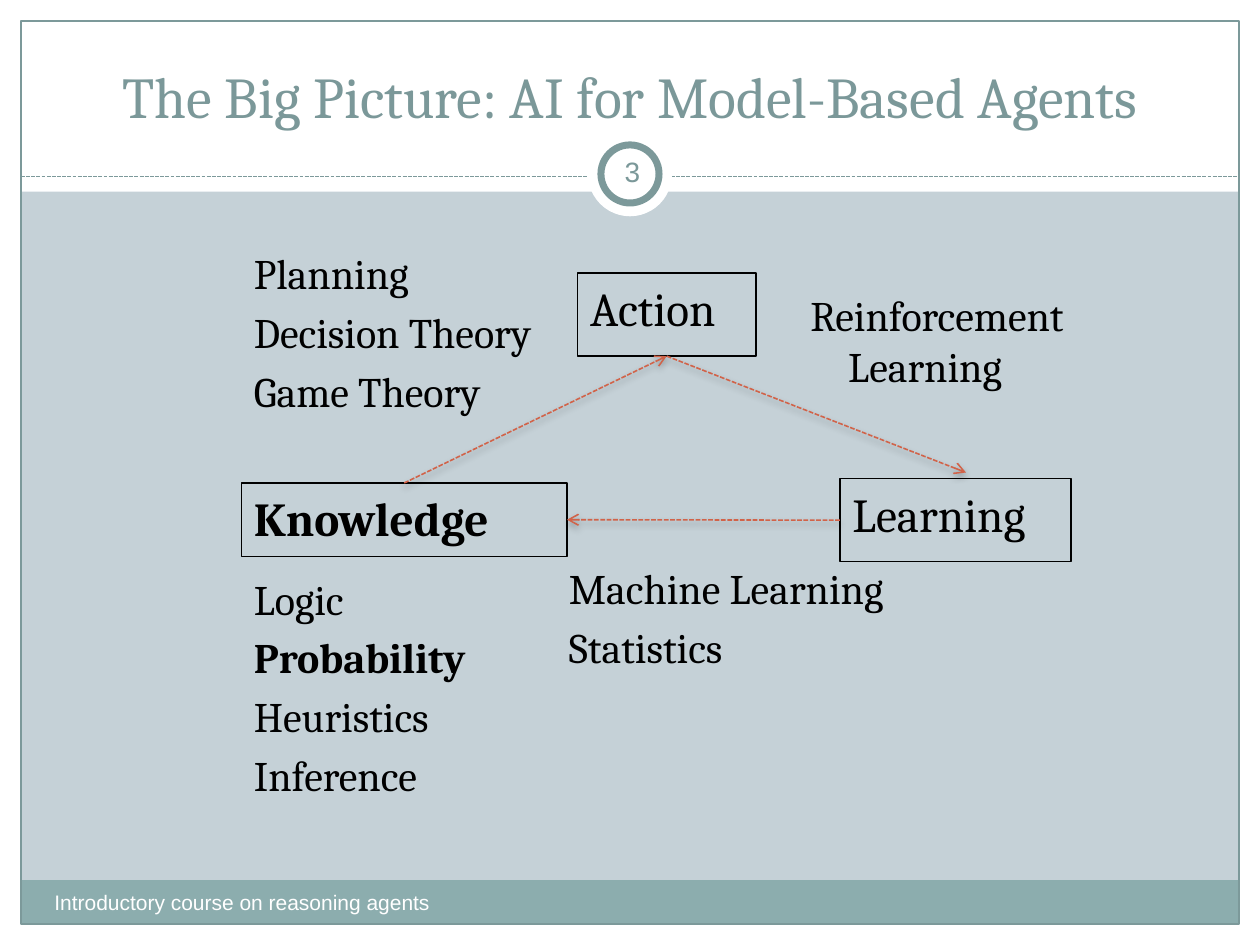
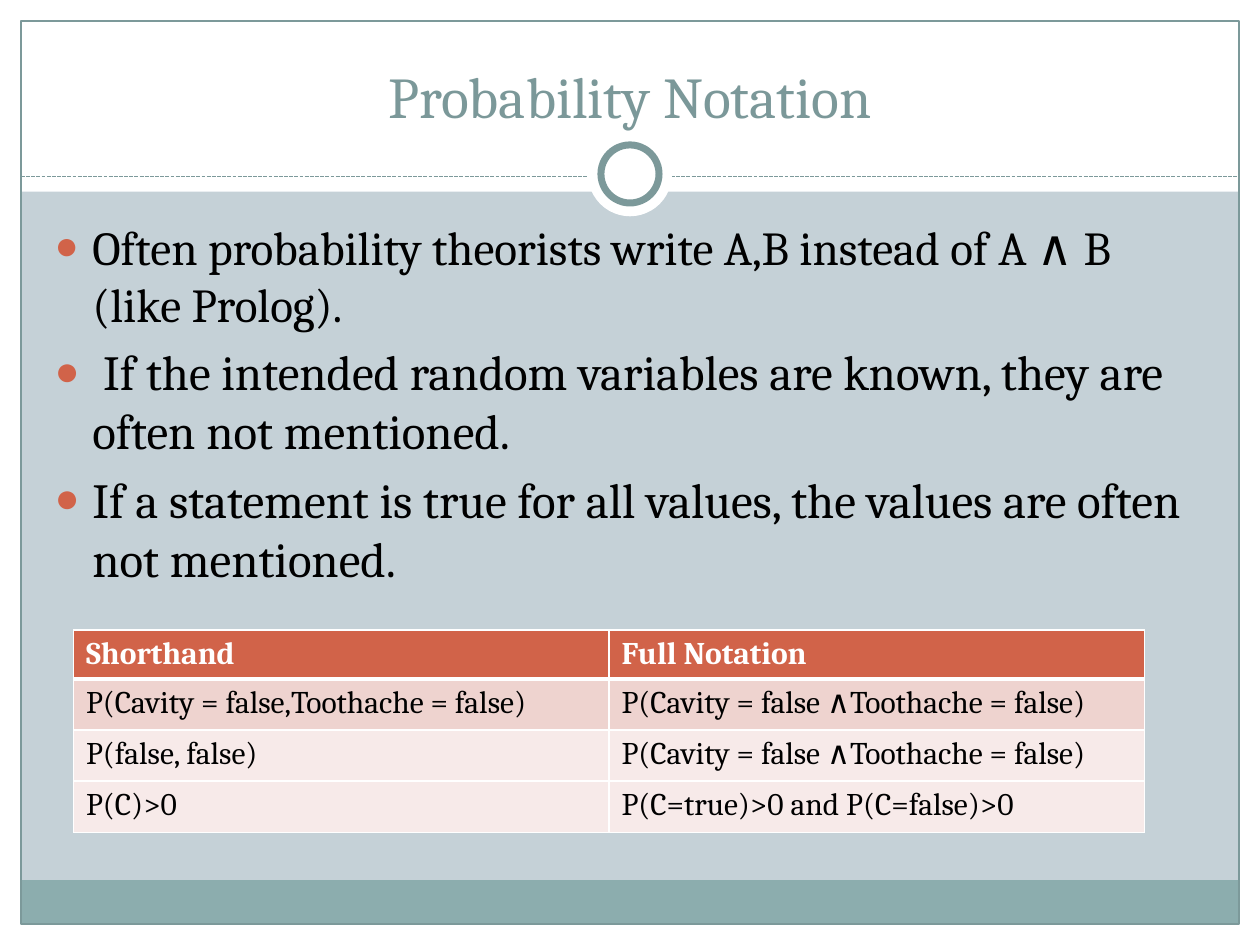
from dataclasses import dataclass

from lxml import etree
from pptx import Presentation
from pptx.dml.color import RGBColor
from pptx.enum.dml import MSO_LINE
from pptx.enum.shapes import MSO_CONNECTOR, MSO_SHAPE
from pptx.enum.text import MSO_ANCHOR, MSO_AUTO_SIZE, PP_ALIGN
from pptx.oxml import parse_xml
from pptx.oxml.ns import nsdecls, qn
from pptx.util import Pt

RECTANGLE, OVAL = MSO_SHAPE.RECTANGLE, MSO_SHAPE.OVAL
STRAIGHT = MSO_CONNECTOR.STRAIGHT
SHORT_DASH = MSO_LINE.SQUARE_DOT
LEFT, CENTER = PP_ALIGN.LEFT, PP_ALIGN.CENTER
TOP, MIDDLE, BOTTOM = MSO_ANCHOR.TOP, MSO_ANCHOR.MIDDLE, MSO_ANCHOR.BOTTOM
SIDE_TOP, SIDE_LEFT, SIDE_BOTTOM, SIDE_RIGHT = range(4)

COLORS = {
    "background": "C5D1D7", "white": "FFFFFF", "black": "000000",
    "band": "8CADAE", "rule": "7C999A", "title": "7B9899",
    "accent": "D16349", "row_dark": "EED3CF", "row_light": "F7EAE9",
}
SERIF, SANS = "Cambria", "Arial"
WIDTH, HEIGHT = 720, 540
EDGE = 12
RULE_Y = 100.8
INDENT = Pt(21.6)

Box = tuple[float, float, float, float]
Point = tuple[float, float]


@dataclass(frozen=True)
class FramePart:
    box: Box
    fill: str | None = None
    line: str | None = None
    line_width: float = 0.75
    kind: int = RECTANGLE


@dataclass(frozen=True)
class TextStyle:
    size: float
    color: str = "black"
    font: str = SERIF
    bold: bool = False
    align: int = LEFT
    hanging: bool = False
    bullet: bool = False


@dataclass(frozen=True)
class TopicList:
    box: Box
    lines: tuple[str, ...]
    bold_line: str = ""


FRAME_BACK = (
    FramePart((0, HEIGHT - EDGE, WIDTH, EDGE), "white"),
    FramePart((0, 0, WIDTH, 109.5), "white"),
    FramePart((0, 0, EDGE, HEIGHT), "white"),
    FramePart((WIDTH - EDGE, 0, EDGE, HEIGHT), "white"),
    FramePart((EDGE, 503, WIDTH - 2 * EDGE, 25), "band"),
    FramePart((EDGE, EDGE, WIDTH - 2 * EDGE, HEIGHT - 2 * EDGE), None, "rule"),
)
FRAME_RING = (
    FramePart((336, 75.6, 48, 48), "white", kind=OVAL),
    FramePart((343.4, 82.8, 33.2, 33.2), "white", "rule", 4, OVAL),
)

TITLE = TextStyle(33, "title", align=CENTER)
FOOTER = TextStyle(12, "white", SANS)
NUMBER = TextStyle(16, "title", SANS, align=CENTER)
NODE = TextStyle(27, hanging=True)
KEY_NODE = TextStyle(27, bold=True, hanging=True)
TOPIC = TextStyle(24, hanging=True)
KEY_TOPIC = TextStyle(24, bold=True, hanging=True)
BULLET = TextStyle(28, hanging=True, bullet=True)
HEADER_CELL = TextStyle(18, "white", bold=True)
BODY_CELL = TextStyle(18)

TOPICS = (
    TopicList((138, 324, 162, 144),
              ("Logic", "Probability", "Heuristics", "Inference"), "Probability"),
    TopicList((138, 138, 204, 144), ("Planning", "Decision Theory", "Game Theory")),
    TopicList((456, 162, 204, 84), ("Reinforcement Learning",)),
    TopicList((318, 318, 234, 102), ("Machine Learning", "Statistics")),
)
NOTATION = (
    ("Shorthand", "Full Notation"),
    ("P(Cavity = false,Toothache = false)", "P(Cavity = false ∧Toothache = false)"),
    ("P(false, false)", "P(Cavity = false ∧Toothache = false)"),
    ("P(C)>0", "P(C=true)>0 and P(C=false)>0"),
)
ROW_FILLS = ("accent", "row_dark", "row_light", "row_light")


# Helpers

def rgb(name: str) -> RGBColor:
    return RGBColor.from_string(COLORS[name])


def points(values: Box) -> list[Pt]:
    return [Pt(value) for value in values]


def place(shape, box: Box) -> None:
    shape.left, shape.top, shape.width, shape.height = points(box)


def paint(shape, fill: str | None, line: str | None, width: float = 0.75) -> None:
    if fill:
        shape.fill.solid()
        shape.fill.fore_color.rgb = rgb(fill)
    else:
        shape.fill.background()
    if line:
        shape.line.color.rgb = rgb(line)
        shape.line.width = Pt(width)
    else:
        shape.line.fill.background()


def format_paragraph(paragraph, style: TextStyle) -> None:
    paragraph.alignment = style.align
    properties = paragraph._p.get_or_add_pPr()
    if style.hanging:
        properties.set("marL", str(INDENT))
        properties.set("indent", str(-INDENT))
        paragraph.space_before = Pt(0.2 * style.size)
    if style.bullet:
        color = etree.SubElement(properties, qn("a:buClr"))
        etree.SubElement(color, qn("a:srgbClr"), val=COLORS["accent"])
        etree.SubElement(properties, qn("a:buSzPct"), val="85000")
        etree.SubElement(properties, qn("a:buChar"), char="●")
    else:
        etree.SubElement(properties, qn("a:buNone"))
    font = paragraph.font
    font.name, font.size, font.bold = style.font, Pt(style.size), style.bold
    font.color.rgb = rgb(style.color)


def write(shape, lines: list[tuple[str, TextStyle]], anchor: int = TOP) -> None:
    frame = shape.text_frame
    frame.word_wrap = True
    frame.auto_size = MSO_AUTO_SIZE.NONE
    frame.vertical_anchor = anchor
    for index, (text, style) in enumerate(lines):
        paragraph = frame.add_paragraph() if index else frame.paragraphs[0]
        paragraph.add_run().text = text
        format_paragraph(paragraph, style)


def add_text(slide, box: Box, lines: list[tuple[str, TextStyle]], anchor: int = TOP):
    text_box = slide.shapes.add_textbox(*points(box))
    write(text_box, lines, anchor)
    return text_box


def add_part(slide, part: FramePart):
    shape = slide.shapes.add_shape(part.kind, *points(part.box))
    shape.shadow.inherit = False
    paint(shape, part.fill, part.line, part.line_width)
    return shape


def add_dashed_line(slide, start: Point, end: Point, color: str, width: float):
    connector = slide.shapes.add_connector(STRAIGHT, *points(start + end))
    connector.line.color.rgb = rgb(color)
    connector.line.width = Pt(width)
    connector.line.dash_style = SHORT_DASH
    etree.SubElement(connector._element.spPr, qn("a:effectLst"))
    return connector


def add_arrow(slide, start: Point, end: Point):
    arrow = add_dashed_line(slide, start, end, "accent", 0.9)
    properties = arrow._element.spPr
    etree.SubElement(properties.find(qn("a:ln")), qn("a:tailEnd"), type="arrow")
    properties.find(qn("a:effectLst")).append(parse_xml(
        f'<a:outerShdw {nsdecls("a")} blurRad="{Pt(4)}" dist="{Pt(2)}" dir="5400000" '
        f'rotWithShape="0"><a:srgbClr val="{COLORS["black"]}">'
        '<a:alpha val="35000"/></a:srgbClr></a:outerShdw>'))
    return arrow


def border_cell(cell, top: float, bottom: float) -> None:
    properties = cell._tc.get_or_add_tcPr()
    for side, width in (("L", 1), ("R", 1), ("T", top), ("B", bottom)):
        properties.append(parse_xml(
            f'<a:ln{side} {nsdecls("a")} w="{Pt(width)}"><a:solidFill>'
            f'<a:srgbClr val="{COLORS["white"]}"/></a:solidFill></a:ln{side}>'))


# Shared slide frame

def add_framed_slide(presentation, title: str):
    slide = presentation.slides.add_slide(presentation.slide_layouts[1])
    slide.background.fill.solid()
    slide.background.fill.fore_color.rgb = rgb("background")
    for part in FRAME_BACK:
        add_part(slide, part)
    add_dashed_line(slide, (EDGE, RULE_Y), (WIDTH - EDGE, RULE_Y), "rule", 0.75)
    for part in FRAME_RING:
        add_part(slide, part)
    heading, body = slide.shapes.title, slide.placeholders[1]
    for placeholder in (heading, body):  # bring text in front of the frame
        slide.shapes.element.append(placeholder.element)
    place(heading, (24, 18, 672, 60))
    write(heading, [(title, TITLE)], BOTTOM)
    return slide, body


# Slide: the big picture

def build_big_picture(presentation) -> None:
    slide, action = add_framed_slide(
        presentation, "The Big Picture: AI for Model-Based Agents")
    add_text(slide, (24, 504.5, 282, 29),
             [("Introductory course on reasoning agents", FOOTER)])
    number = add_text(slide, (343.4, 80.6, 36, 34.6), [("3", NUMBER)], MIDDLE)
    frame = number.text_frame
    frame.margin_left = frame.margin_right = Pt(3.6)

    place(action, (330, 156, 102, 47.5))
    paint(action, None, "black")
    write(action, [("Action", NODE)])
    learning = add_part(slide, FramePart((480, 273.5, 132, 47.5), None, "black"))
    write(learning, [("Learning", NODE)])
    knowledge = add_part(slide, FramePart((138, 276, 186, 42), None, "black"))
    write(knowledge, [("Knowledge", KEY_NODE)])

    for topic in TOPICS:
        add_text(slide, topic.box,
                 [(line, KEY_TOPIC if line == topic.bold_line else TOPIC)
                  for line in topic.lines])

    to_action = add_arrow(slide, (231, 276), (381, 203.5))
    to_action.begin_connect(knowledge, SIDE_TOP)
    to_action.end_connect(action, SIDE_BOTTOM)
    to_learning = add_arrow(slide, (381, 203.5), (552, 270))
    to_learning.begin_connect(action, SIDE_BOTTOM)
    to_knowledge = add_arrow(slide, (480, 297), (324, 297))
    to_knowledge.begin_connect(learning, SIDE_LEFT)
    to_knowledge.end_connect(knowledge, SIDE_RIGHT)


# Slide: probability notation

def build_notation(presentation) -> None:
    slide, body = add_framed_slide(presentation, "Probability Notation")
    place(body, (24, 120, 670, 360))
    write(body, [(text, BULLET) for text in (
        "Often probability theorists write A,B instead of A ",
        " If the intended random variables are known, they are often not mentioned.",
        "If a statement is true for all values, the values are often not mentioned.",
    )])
    first = body.text_frame.paragraphs[0]
    for text in ("∧ ", "B (like Prolog)."):
        first.add_run().text = text
    for run in (first.runs[0], first.runs[2]):
        run.font.size = Pt(27)

    table = slide.shapes.add_table(
        len(NOTATION), 2, *points((42, 360, 612, 116.5))).table
    for row_index, (texts, fill) in enumerate(zip(NOTATION, ROW_FILLS)):
        table.rows[row_index].height = Pt(29.2 if row_index else 28)
        for column_index, text in enumerate(texts):
            cell = table.cell(row_index, column_index)
            border_cell(cell, 3 if row_index == 1 else 1, 1 if row_index else 3)
            cell.fill.solid()
            cell.fill.fore_color.rgb = rgb(fill)
            cell.text = text
            format_paragraph(cell.text_frame.paragraphs[0],
                             BODY_CELL if row_index else HEADER_CELL)


def main() -> None:
    presentation = Presentation()
    presentation.slide_width, presentation.slide_height = Pt(WIDTH), Pt(HEIGHT)
    build_big_picture(presentation)
    build_notation(presentation)
    presentation.save("out.pptx")


if __name__ == "__main__":
    main()
